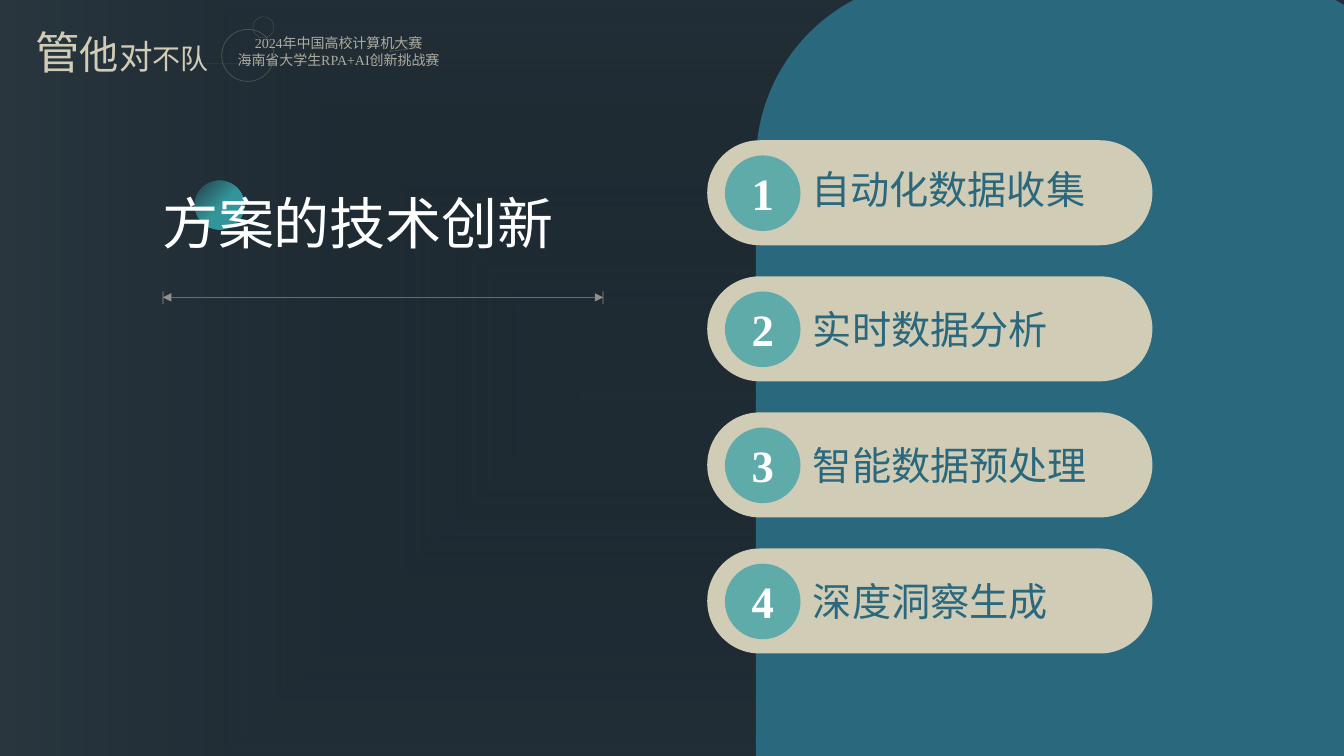
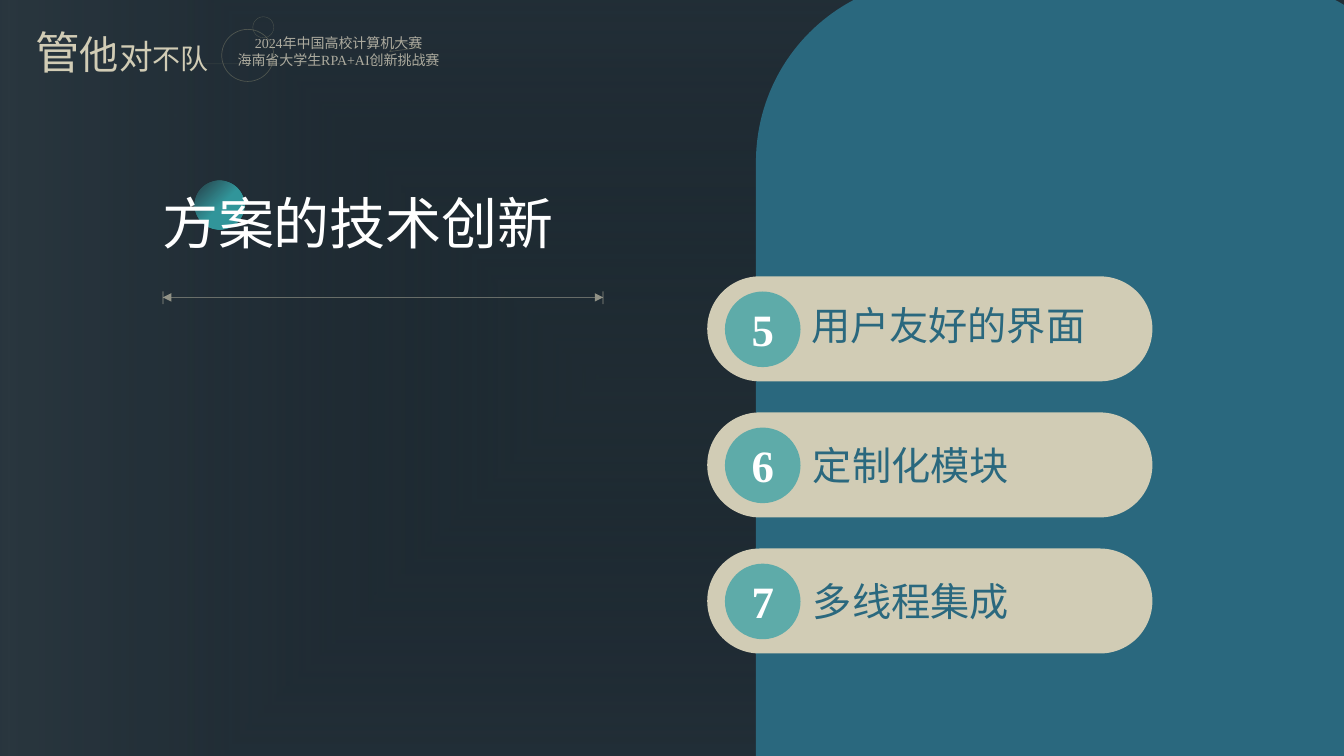
import dataclasses
import typing

import pptx
import pptx.dml.color
import pptx.enum.shapes
import pptx.enum.text
import pptx.oxml
import pptx.oxml.ns
import pptx.util

RGB = pptx.dml.color.RGBColor.from_string
SHAPE = pptx.enum.shapes.MSO_SHAPE
ALIGN = pptx.enum.text.PP_ALIGN
ANCHOR = pptx.enum.text.MSO_ANCHOR
AUTO = pptx.enum.text.MSO_AUTO_SIZE
qn = pptx.oxml.ns.qn

# The slide is a grid of 16 columns by 9 rows of square cells
COLS, ROWS = 16, 9
CELL = pptx.util.Pt(60)


@dataclasses.dataclass(frozen=True)
class Theme:
    font: str = "Times New Roman"
    night: str = "233036"
    panel: str = "2A687E"
    sand: str = "D1CCB5"
    cream: str = "E2DBC7"
    teal: str = "5EABA9"
    olive: str = "A29F7E"
    halo_edge: str = "5C594F"
    white: str = "FFFFFF"
    title: int = 40
    number: int = 32
    label: int = 28
    contest: int = 10


class Box(typing.NamedTuple):
    """Left, top, width and height in grid cells."""
    x: float
    y: float
    w: float
    h: float

    def emu(self) -> list[int]:
        return [cells(v) for v in self]


class Stop(typing.NamedTuple):
    pos: int
    color: str
    alpha: int = 100


class Piece(typing.NamedTuple):
    """A run of text with its size and colour."""
    text: str
    size: int
    color: str
    bold: bool = False


class Outline(typing.NamedTuple):
    shape: typing.Any
    box: Box
    width: float
    rotation: float = 0


@dataclasses.dataclass(frozen=True)
class Agenda:
    title: str
    first_number: int
    first_row: int
    items: tuple[str, ...]


THEME = Theme()

HALO = (Stop(0, "131D29", 20), Stop(70, "2A373F"), Stop(86, "131D29"))
GLOW = (Stop(48, "33979C"), Stop(100, "37969B", 0))
TITLE_STOPS = (Stop(31, THEME.white), Stop(100, THEME.sand))
TITLE_BOX = Box(1.81, 2.18, 4.96, 0.92)

ORNAMENTS = (
    Outline(SHAPE.OVAL, Box(2.64, 0.35, 0.62, 0.62), 0.5),
    Outline(SHAPE.OVAL, Box(3.01, 0.2, 0.25, 0.25), 0.25),
    Outline(SHAPE.ISOSCELES_TRIANGLE, Box(4.63, 0.47, 0.37, 0.12), 0.5, 352.3),
)
TEAM = (("管", 32), ("他", 28), ("对", 24), ("不队", 20))
CONTEST = ("2024年中国高校计算机大赛", "海南省大学生RPA+AI创新挑战赛")

PILL = Box(8.42, 1.67, 5.3, 1.25)
PILL_PITCH = 1.62

AGENDAS = (
    Agenda("方案的技术创新", 1, 0,
           ("自动化数据收集", "实时数据分析", "智能数据预处理", "深度洞察生成")),
    Agenda("方案的技术创新", 5, 1,
           ("用户友好的界面", "定制化模块", "多线程集成")),
)


# Helpers
def cells(n: float) -> int:
    return round(n * CELL)


def apply(obj: typing.Any, values: dict[str, typing.Any]) -> None:
    for name, value in values.items():
        setattr(obj, name, value)


def child(parent: typing.Any, tag: str, **attrs: str) -> typing.Any:
    el = parent.makeelement(qn(tag), attrs)
    parent.append(el)
    return el


def fade(el: typing.Any, percent: int) -> None:
    """Give every colour inside an element the same opacity."""
    for clr in el.iter(qn("a:srgbClr")):
        child(clr, "a:alpha", val=str(percent * 1000))


def add_shape(shapes: typing.Any, kind: typing.Any, box: Box,
              fill: str | None = None, adj: float | None = None) -> typing.Any:
    sp = shapes.add_shape(kind, *box.emu())
    sp.shadow.inherit = False
    sp.line.fill.background()
    if fill:
        sp.fill.solid()
        sp.fill.fore_color.rgb = RGB(fill)
    else:
        sp.fill.background()
    if adj is not None:
        sp.adjustments[0] = adj
    return sp


def set_line(sp: typing.Any, color: str, width: float, alpha: int = 100) -> None:
    apply(sp.line, {"width": pptx.util.Pt(width)})
    sp.line.fill.solid()
    sp.line.fill.fore_color.rgb = RGB(color)
    if alpha < 100:
        fade(sp._element.spPr.find(qn("a:ln")), alpha)


def path_gradient(sp: typing.Any, stops: tuple[Stop, ...], path: str,
                  focus: dict[str, int]) -> None:
    """Swap the empty fill of a shape for a gradient that spreads from a focus."""
    props = sp._element.spPr
    grad = props.makeelement(qn("a:gradFill"), {"rotWithShape": "1"})
    gs_list = child(grad, "a:gsLst")
    for stop in stops:
        gs = child(gs_list, "a:gs", pos=str(stop.pos * 1000))
        clr = child(gs, "a:srgbClr", val=stop.color)
        if stop.alpha < 100:
            fade(clr, stop.alpha)
    spread = child(grad, "a:path", path=path)
    child(spread, "a:fillToRect", **{k: str(v * 1000) for k, v in focus.items()})
    props.replace(props.find(qn("a:noFill")), grad)


def add_line(shapes: typing.Any, start: tuple[float, float],
             end: tuple[float, float], color: str, alpha: int,
             arrows: bool = False) -> None:
    s = shapes.add_connector(pptx.enum.shapes.MSO_CONNECTOR.STRAIGHT,
                             *map(cells, start + end))
    set_line(s, color, 0.5, alpha)
    if arrows:
        ln = s._element.spPr.find(qn("a:ln"))
        for tag in ("a:headEnd", "a:tailEnd"):
            child(ln, tag, type="triangle")
    child(s._element.spPr, "a:effectLst")


def add_text(shapes: typing.Any, box: Box, lines: list[list[Piece]],
             wrap: bool = False, align: typing.Any = ALIGN.LEFT) -> typing.Any:
    sp = shapes.add_textbox(*box.emu())
    tf = sp.text_frame
    apply(tf, {"word_wrap": wrap, "auto_size": AUTO.SHAPE_TO_FIT_TEXT})
    for i, pieces in enumerate(lines):
        p = tf.add_paragraph() if i else tf.paragraphs[0]
        p.alignment = align
        for piece in pieces:
            r = p.add_run()
            r.text = piece.text
            apply(r.font, {"name": THEME.font, "size": pptx.util.Pt(piece.size),
                           "bold": piece.bold})
            r.font.color.rgb = RGB(piece.color)
    return sp


# Parts of the shared frame
def draw_header(shapes: typing.Any) -> None:
    sp = add_text(shapes, Box(2.64, 0.35, 2.78, 0.53),
                  [[Piece(t, THEME.contest, THEME.cream)] for t in CONTEST],
                  wrap=True, align=ALIGN.CENTER)
    fade(sp._element, 73)
    add_line(shapes, (2.33, 0.76), (5.15, 0.76), THEME.olive, 12)
    for o in ORNAMENTS:
        sp = add_shape(shapes, o.shape, o.box)
        sp.rotation = o.rotation
        set_line(sp, THEME.olive, o.width, 35)
        if o.shape == SHAPE.ISOSCELES_TRIANGLE:
            sp.adjustments[0] = 0.28
    add_text(shapes, Box(0.3, 0.23, 2.33, 0.77),
             [[Piece(t, size, THEME.sand) for t, size in TEAM]])


def draw_ruler(shapes: typing.Any) -> None:
    left, right, y = 1.94, 7.18, 3.54
    group = shapes.add_group_shape().shapes
    add_line(group, (left, y), (right, y), THEME.sand, 63, arrows=True)
    for x in (left, right):
        add_line(group, (x, y - 0.07), (x, y + 0.08), THEME.sand, 63)


def draw_frame(shapes: typing.Any) -> None:
    halo = add_shape(shapes, SHAPE.OVAL, Box(-2.92, -5.51, 24.55, 20.08))
    path_gradient(halo, HALO, "shape", dict.fromkeys("ltrb", 50))
    set_line(halo, THEME.halo_edge, 1)
    draw_header(shapes)
    glow = add_shape(shapes, SHAPE.OVAL, Box(2.32, 2.15, 0.59, 0.58))
    glow.rotation = 9.7
    path_gradient(glow, GLOW, "circle", {"l": 100, "t": 100})
    draw_ruler(shapes)
    add_shape(shapes, SHAPE.ROUNDED_RECTANGLE, Box(9, -0.25, 8.06, 11.83),
              THEME.panel, adj=0.27)


def move_to_layout(s: typing.Any, layout: typing.Any) -> None:
    """Let the layout carry the frame, so that every slide shows it."""
    for ph in list(layout.placeholders):
        if ph.placeholder_format.idx:
            ph._element.getparent().remove(ph._element)
    for sp in list(s.shapes):
        if not sp.is_placeholder:
            layout.shapes._spTree.append(sp._element)


# Parts of one slide
def set_title(s: typing.Any, text: str) -> None:
    sp = s.shapes.title
    apply(sp, dict(zip(("left", "top", "width", "height"), TITLE_BOX.emu())))
    tf = sp.text_frame
    apply(tf, {"word_wrap": False, "auto_size": AUTO.SHAPE_TO_FIT_TEXT,
               "vertical_anchor": ANCHOR.TOP})
    p = tf.paragraphs[0]
    p.alignment = ALIGN.LEFT
    r = p.add_run()
    r.text = text
    apply(r.font, {"name": THEME.font, "size": pptx.util.Pt(THEME.title)})
    r.font.fill.gradient()
    r.font.fill.gradient_angle = 275
    for gs, stop in zip(r.font.fill.gradient_stops, TITLE_STOPS):
        gs.color.rgb = RGB(stop.color)
        gs.position = stop.pos / 100


def draw_pill(shapes: typing.Any, row: int, number: int, text: str,
              first: bool) -> None:
    x, y = PILL.x, PILL.y + row * PILL_PITCH
    group = shapes.add_group_shape().shapes
    add_shape(group, SHAPE.ROUNDED_RECTANGLE, PILL._replace(y=y), THEME.sand, adj=0.5)
    add_shape(group, SHAPE.OVAL, Box(x + 0.21, y + 0.18, 0.9, 0.9), THEME.teal)
    add_text(group, Box(x + 0.41, y + 0.24, 0.52, 0.77),
             [[Piece(str(number), THEME.number, THEME.white, bold=True)]])
    # The first label of a list sits slightly higher
    dx, dy = (1.12, 0.24) if first else (1.14, 0.28)
    add_text(group, Box(x + dx, y + dy, 0.47 * len(text) + 0.24, 0.68),
             [[Piece(text, THEME.label, THEME.panel)]])


def main() -> None:
    prs = pptx.Presentation()
    apply(prs, {"slide_width": COLS * CELL, "slide_height": ROWS * CELL})
    layout = prs.slide_layouts.get_by_name("Title Only")
    layout.background.fill.solid()
    layout.background.fill.fore_color.rgb = RGB(THEME.night)

    for i, agenda in enumerate(AGENDAS):
        s = prs.slides.add_slide(layout)
        if i == 0:
            draw_frame(s.shapes)
            move_to_layout(s, layout)
        set_title(s, agenda.title)
        for n, text in enumerate(agenda.items):
            draw_pill(s.shapes, agenda.first_row + n, agenda.first_number + n,
                      text, first=n == 0)
    prs.save("out.pptx")


if __name__ == "__main__":
    main()
